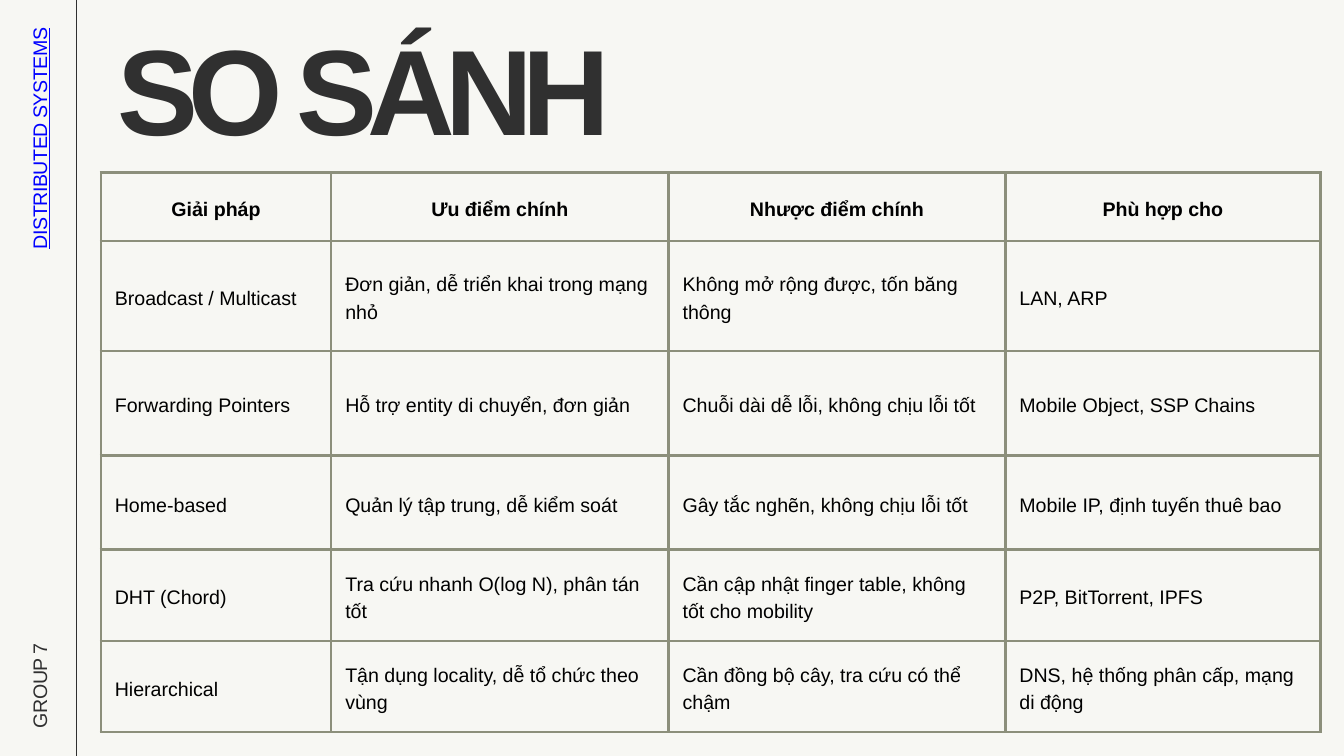
"""Build the comparison slide of location solutions for distributed systems."""
from dataclasses import dataclass

from lxml import etree
from pptx import Presentation, util as u
from pptx.dml.color import RGBColor
from pptx.enum import shapes, text
from pptx.oxml.ns import qn

INK = "303030"
BORDER = "8C8F7B"
COLUMN_WIDTHS = (8.71, 12.75, 12.73, 11.91)
ROW_HEIGHTS = (2.59, 4.14, 3.96, 3.56, 3.45, 3.45)
ROWS = (
    ("Giải pháp", "Ưu điểm chính", "Nhược điểm chính", "Phù hợp cho"),
    ("Broadcast / Multicast", "Đơn giản, dễ triển khai trong mạng nhỏ",
     "Không mở rộng được, tốn băng thông", "LAN, ARP"),
    ("Forwarding Pointers", "Hỗ trợ entity di chuyển, đơn giản",
     "Chuỗi dài dễ lỗi, không chịu lỗi tốt", "Mobile Object, SSP Chains"),
    ("Home-based", "Quản lý tập trung, dễ kiểm soát",
     "Gây tắc nghẽn, không chịu lỗi tốt", "Mobile IP, định tuyến thuê bao"),
    ("DHT (Chord)", "Tra cứu nhanh O(log N), phân tán tốt",
     "Cần cập nhật finger table, không tốt cho mobility", "P2P, BitTorrent, IPFS"),
    ("Hierarchical", "Tận dụng locality, dễ tổ chức theo vùng",
     "Cần đồng bộ cây, tra cứu có thể chậm", "DNS, hệ thống phân cấp, mạng di động"),
)


@dataclass(frozen=True)
class Label:
    words: str
    left: float
    top: float
    width: float
    height: float
    size: float = 21
    leading: float = 29.4
    tracking: int = -50
    color: str = INK
    bold: bool = False
    underline: bool = False
    rotation: float = 0
    align: text.PP_ALIGN = text.PP_ALIGN.LEFT


LABELS = (
    Label("SO SÁNH", 4.45, 2.59, 30.1, 3.94, size=130, leading=97.5, tracking=-1070, bold=True),
    Label("GROUP 7", -2.29, 23.32, 7.39, 1.02, rotation=270),
    Label("DISTRIBUTED SYSTEMS", -3.18, 5.13, 9.17, 1.02, color="0000FF", underline=True,
          rotation=270, align=text.PP_ALIGN.RIGHT),
)


def rgb(value: str) -> RGBColor:
    return RGBColor.from_string(value)


def apply(target, formats: dict) -> None:
    for name, value in formats.items():
        setattr(target, name, value)


def margins(prefix: str, size: float) -> dict:
    return {f"{prefix}{side}": u.Cm(size) for side in ("left", "right", "top", "bottom")}


def write(paragraph, words: str, size: float, leading: float, color: str, align, **formats):
    apply(paragraph, {"alignment": align, "line_spacing": u.Pt(leading)})
    run = paragraph.add_run()
    run.text = words
    apply(run.font, {"name": "Arial", "size": u.Pt(size), **formats})
    run.font.color.rgb = rgb(color)
    return run


def draw_label(slide, label: Label) -> None:
    shape = slide.shapes.add_textbox(*map(u.Cm, (label.left, label.top, label.width, label.height)))
    shape.rotation = label.rotation
    apply(shape.text_frame, {"word_wrap": True, "auto_size": text.MSO_AUTO_SIZE.SHAPE_TO_FIT_TEXT,
                             **margins("margin_", 0)})
    run = write(shape.text_frame.paragraphs[0], label.words, label.size, label.leading, label.color,
                label.align, bold=label.bold, underline=label.underline)
    run._r.get_or_add_rPr().set("spc", str(label.tracking))


def draw_borders(cell, color: str, width: float) -> None:
    properties = cell._tc.get_or_add_tcPr()
    for side in ("lnL", "lnR", "lnT", "lnB"):
        line = etree.SubElement(properties, qn(f"a:{side}"), w=str(u.Pt(width)))
        fill = etree.SubElement(line, qn("a:solidFill"))
        etree.SubElement(fill, qn("a:srgbClr"), val=color)


def draw_table(slide) -> None:
    frame = slide.shapes.add_table(len(ROWS), len(COLUMN_WIDTHS), u.Cm(3.81), u.Cm(6.53),
                                   u.Cm(sum(COLUMN_WIDTHS)), u.Cm(sum(ROW_HEIGHTS)))
    table = frame.table
    apply(table, {"first_row": False, "horz_banding": False})
    for column, width in zip(table.columns, COLUMN_WIDTHS):
        column.width = u.Cm(width)
    for row, height, entries in zip(table.rows, ROW_HEIGHTS, ROWS):
        row.height = u.Cm(height)
        header = entries is ROWS[0]
        align = text.PP_ALIGN.CENTER if header else text.PP_ALIGN.LEFT
        for cell, words in zip(row.cells, entries):
            apply(cell, {"vertical_anchor": text.MSO_ANCHOR.MIDDLE, **margins("margin_", 0.53)})
            draw_borders(cell, BORDER, 3)
            cell.fill.background()
            write(cell.text_frame.paragraphs[0], words, 21, 29.4, "000000", align, bold=header)


def draw_divider(slide) -> None:
    line = slide.shapes.add_connector(shapes.MSO_CONNECTOR.STRAIGHT,
                                      *map(u.Cm, (2.87, 30, 2.87, -0.89)))
    line.line.color.rgb = rgb(INK)
    line.line.width = u.Pt(0.75)
    etree.SubElement(line._element.spPr, qn("a:effectLst"))


def main() -> None:
    presentation = Presentation()
    apply(presentation, {"slide_width": u.Cm(50.8), "slide_height": u.Cm(28.58)})
    slide = presentation.slides.add_slide(presentation.slide_layouts[6])
    slide.background.fill.solid()
    slide.background.fill.fore_color.rgb = rgb("F7F7F3")
    draw_divider(slide)
    draw_table(slide)
    for label in LABELS:
        draw_label(slide, label)
    presentation.save("out.pptx")


if __name__ == "__main__":
    main()
